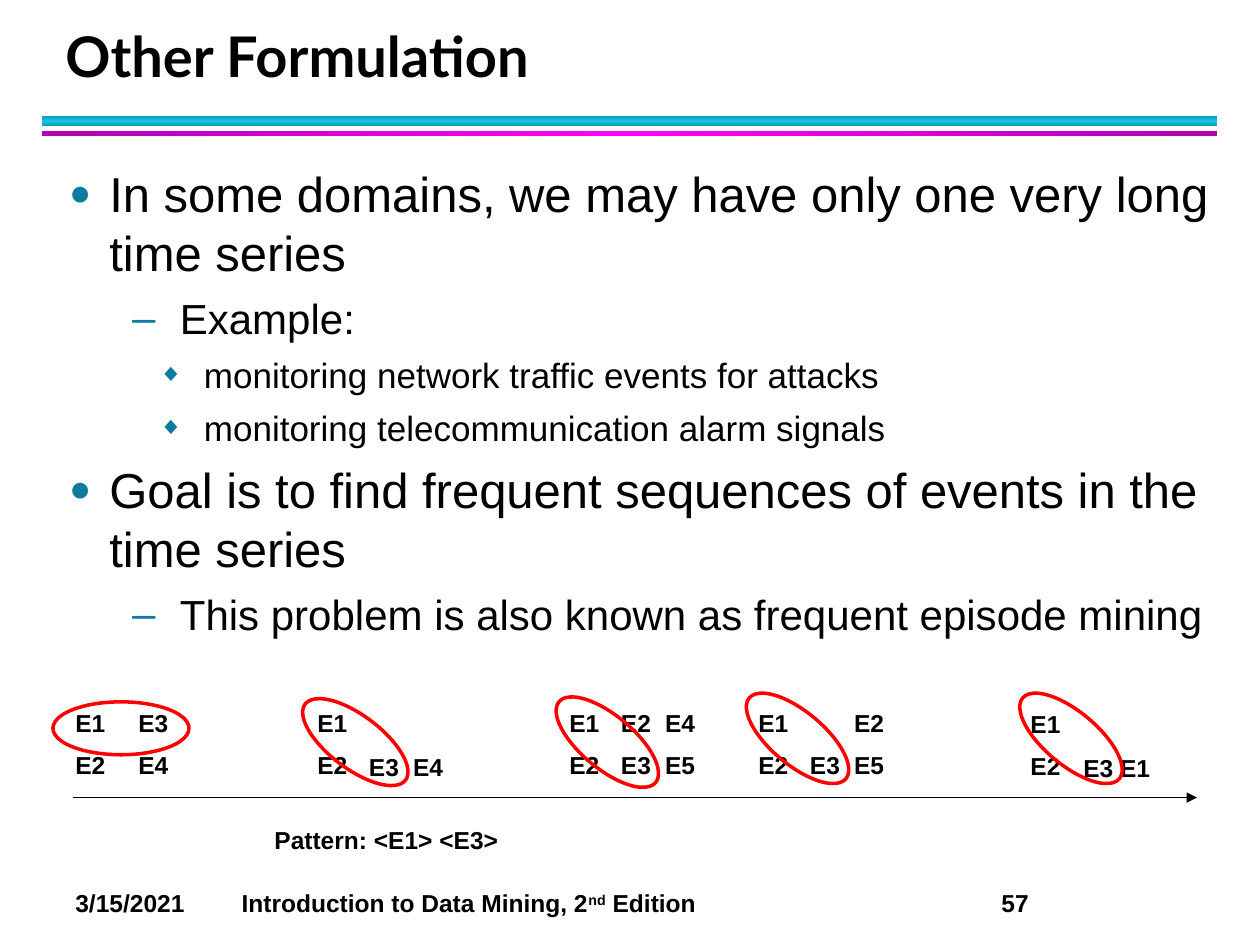
import copy

import pptx
import pptx.util
import pptx.dml.color
import pptx.enum.shapes
import pptx.enum.text
import pptx.oxml.ns
from lxml import etree
from pptx.util import Inches, Pt

THEME = {
    "font": "Arial", "title_font": "Lato",
    "text": "000000", "bullet": "0C7B9C", "mark": "FF0000",
    "title_size": 32, "label_size": 14, "body_sizes": (28, 24, 20),
}

TITLE = "Other Formulation"
BODY = [
    (0, "In some domains, we may have only one very long time series"),
    (1, "Example:"),
    (2, "monitoring network traffic events for attacks"),
    (2, "monitoring telecommunication alarm signals"),
    (0, "Goal is to find frequent sequences of events in the time series"),
    (1, "This problem is also known as frequent episode mining"),
]
# level: (bullet, size in percent, left margin, first-line indent)
BULLETS = [("●", 75, 0.32, -0.32), ("–", 100, 0.88, -0.38), ("◆", 70, 1.07, -0.36)]
# left, top, width, lines
EVENTS = [
    (0.5, 5.57, 0.5, ["E1", "E2"]),
    (1, 5.57, 0.5, ["E3", "E4"]),
    (2.42, 5.57, 0.5, ["E1", "E2"]),
    (2.83, 5.92, 0.83, ["E3\tE4"]),
    (4.42, 5.57, 0.5, ["E1", "E2"]),
    (4.83, 5.57, 0.92, ["E2\tE4", "E3\tE5"]),
    (5.92, 5.57, 0.5, ["E1", "E2"]),
    (6.33, 5.57, 1.08, ["\tE2", "E3\tE5"]),
    (8.08, 5.58, 0.5, ["E1", "E2"]),
    (8.5, 5.93, 0.83, ["E3 E1"]),
]
PATTERN = "Pattern: <E1> <E3>"
# left, top, width, rotation
MATCHES = [(0.42, 5.57, 1.08, 0), (2.32, 5.68, 1, 37.1), (4.32, 5.68, 1, 39.9),
           (5.83, 5.65, 1, 39.9), (8, 5.65, 1, 39.9)]
# top, height, edge colour, middle colour, angle
RULES = [(0.92, 0.08, "0E9BBA", "12C2E9", 90), (1.04, 0.04, "B200B2", "FF00FF", 0)]
FOOTER = [("3/15/2021\tIntroduction to Data Mining, 2", False), ("nd", True),
          (" Edition\t57", False)]

SHAPE = pptx.enum.shapes.MSO_SHAPE


def rgb(value):
    return pptx.dml.color.RGBColor.from_string(value)


def add_xml(parent, tag, **attrs):
    el = etree.SubElement(parent, pptx.oxml.ns.qn(tag))
    for name, value in attrs.items():
        el.set(name, str(value))
    return el


def add_run(p, text, size=THEME["label_size"], font=THEME["font"], bold=True, raised=False):
    r = p.add_run()
    r.text = text
    r.font.size, r.font.name, r.font.bold = Pt(size), font, bold
    r.font.color.rgb = rgb(THEME["text"])
    if raised:
        r.font._element.set("baseline", "30000")


def add_text(slide, box, lines, before=7, tabs=(), anchor="TOP", line_spacing=None, **fmt):
    """Add a text box; each line is a string or a list of (text, raised) runs."""
    sp = slide.shapes.add_textbox(*map(Inches, box))
    tf = sp.text_frame
    tf.word_wrap = True
    tf.vertical_anchor = getattr(pptx.enum.text.MSO_ANCHOR, anchor)
    for i, line in enumerate(lines):
        p = tf.paragraphs[0] if i == 0 else tf.add_paragraph()
        p.space_before = Pt(before if i else 0)
        if line_spacing:
            p.line_spacing = Pt(line_spacing)
        if tabs:
            stops = add_xml(p._p.get_or_add_pPr(), "a:tabLst")
            for pos in tabs:
                add_xml(stops, "a:tab", pos=Inches(pos), algn="l")
        for text, raised in ([(line, False)] if isinstance(line, str) else line):
            add_run(p, text, raised=raised, **fmt)
    return tf


def add_body(slide):
    tf = add_text(slide, (0.45, 1.25, 9.3, 5.67), [])
    for i, (level, text) in enumerate(BODY):
        p = tf.paragraphs[0] if i == 0 else tf.add_paragraph()
        size = THEME["body_sizes"][level]
        char, percent, margin, indent = BULLETS[level]
        p.level = level
        p.space_before, p.space_after = Pt(size / 10), Pt(4)
        pPr = p._p.get_or_add_pPr()
        pPr.set("marL", str(Inches(margin)))
        pPr.set("indent", str(Inches(indent)))
        add_xml(add_xml(pPr, "a:buClr"), "a:srgbClr", val=THEME["bullet"])
        add_xml(pPr, "a:buSzPct", val=percent * 1000)
        add_xml(pPr, "a:buFont", typeface=THEME["font"])
        add_xml(pPr, "a:buChar", char=char)
        add_run(p, text, size=size, bold=False)


def add_rule(slide, top, height, edge, middle, angle):
    sp = slide.shapes.add_shape(SHAPE.RECTANGLE, *map(Inches, (0.33, top, 9.33, height)))
    sp.shadow.inherit = False
    sp.line.fill.background()
    sp.fill.gradient()
    sp.fill.gradient_angle = angle
    first = sp._element.spPr.find(".//" + pptx.oxml.ns.qn("a:gs"))
    first.addnext(copy.deepcopy(first))
    for stop, position, color in zip(sp.fill.gradient_stops, (0, 0.5, 1), (edge, middle, edge)):
        stop.position = position
        stop.color.rgb = rgb(color)


def add_match(slide, left, top, width, rotation):
    sp = slide.shapes.add_shape(SHAPE.OVAL, *map(Inches, (left, top, width, 0.42)))
    sp.shadow.inherit = False
    sp.fill.background()
    sp.line.color.rgb, sp.line.width = rgb(THEME["mark"]), Pt(2)
    sp.rotation = rotation


def add_time_axis(slide):
    line = slide.shapes.add_connector(pptx.enum.shapes.MSO_CONNECTOR.STRAIGHT,
                                      *map(Inches, (0.58, 6.33, 9.5, 6.33)))
    line.line.color.rgb, line.line.width = rgb(THEME["text"]), Pt(1)
    add_xml(line.line._get_or_add_ln(), "a:tailEnd", type="triangle")
    add_xml(line._element.spPr, "a:effectLst")


def main():
    prs = pptx.Presentation()
    prs.slide_width, prs.slide_height = Inches(10), Inches(7.5)
    slide = prs.slides.add_slide(prs.slide_layouts[6])
    for rule in RULES:
        add_rule(slide, *rule)
    add_text(slide, (0.5, 7, 9.33, 0.34), [FOOTER], tabs=(1.32, 7.35))
    add_text(slide, (0.42, 0.17, 9.06, 0.58), [TITLE], anchor="BOTTOM", line_spacing=36,
             size=THEME["title_size"], font=THEME["title_font"])
    add_body(slide)
    add_time_axis(slide)
    for left, top, width, lines in EVENTS:
        height = 0.68 if len(lines) == 2 else 0.33
        add_text(slide, (left, top, width, height), lines, tabs=(0.35,))
    add_text(slide, (2.08, 6.5, 2.67, 0.33), [PATTERN])
    for match in MATCHES:
        add_match(slide, *match)
    prs.save("out.pptx")


if __name__ == "__main__":
    main()
